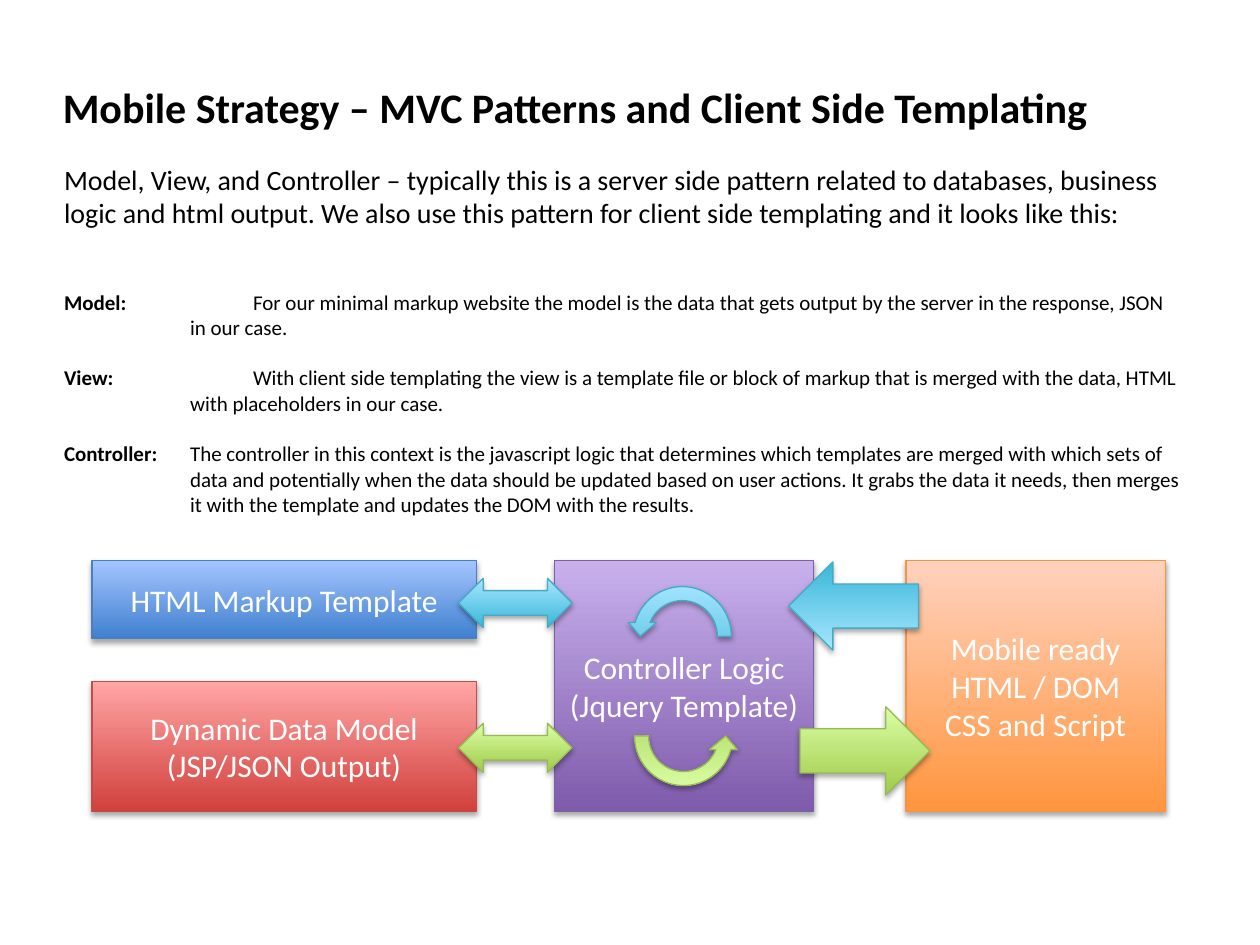
from dataclasses import dataclass

from lxml.etree import SubElement
from pptx import Presentation
from pptx.dml.color import RGBColor
from pptx.enum.shapes import MSO_SHAPE
from pptx.enum.text import MSO_ANCHOR, PP_ALIGN
from pptx.oxml.ns import qn
from pptx.util import Inches, Pt


@dataclass(frozen=True)
class Palette:
    bottom: str
    top: str
    line: str


@dataclass(frozen=True)
class Block:
    kind: MSO_SHAPE
    left: float
    top: float
    width: float
    height: float
    palette: Palette
    lines: tuple[str, ...] = ()
    rotation: int = 0
    flip: bool = False


BLUE = Palette("3F80CE", "A4C4FF", "4B7EBC")
RED = Palette("D1403C", "FFA6A5", "BF4C48")
PURPLE = Palette("7F5BAB", "C8B0ED", "7D60A0")
ORANGE = Palette("FF953E", "FFD2BD", "F69240")
AQUA = Palette("39B7D8", "A7E6FF", "46AAC5")
GREEN = Palette("A0CA4A", "DAFFA5", "98B955")

RECT = MSO_SHAPE.RECTANGLE
ARROW = MSO_SHAPE.RIGHT_ARROW
DOUBLE = MSO_SHAPE.LEFT_RIGHT_ARROW
CIRCULAR = MSO_SHAPE.CIRCULAR_ARROW

BLOCKS = [
    Block(RECT, 7.19, 4.45, 2.06, 1.99, ORANGE,
          ("Mobile ready", "HTML / DOM", "CSS and Script")),
    Block(RECT, 0.73, 4.45, 3.05, 0.62, BLUE, ("HTML Markup Template",)),
    Block(RECT, 0.73, 5.41, 3.05, 1.03, RED,
          ("Dynamic Data Model", "(JSP/JSON Output)")),
    Block(RECT, 4.4, 4.45, 2.06, 1.99, PURPLE,
          ("Controller Logic", "(Jquery Template)")),
    Block(ARROW, 6.26, 4.46, 1.03, 0.7, AQUA, rotation=180),
    Block(ARROW, 6.35, 5.61, 1.03, 0.7, GREEN),
    Block(DOUBLE, 3.64, 5.74, 0.9, 0.39, GREEN),
    Block(DOUBLE, 3.64, 4.59, 0.9, 0.39, AQUA),
    Block(CIRCULAR, 4.97, 4.6, 0.89, 0.9, AQUA, flip=True),
    Block(CIRCULAR, 4.98, 5.39, 0.89, 0.9, GREEN, rotation=180, flip=True),
]

INTRO = ("Model, View, and Controller – typically this is a server side pattern "
         "related to databases, business logic and html output. We also use this "
         "pattern for client side templating and it looks like this:")

TERMS = [
    ("Model:", "\t\tFor our minimal markup website the model is the data that gets "
     "output by the server in the response, JSON in our case."),
    ("View:", "\t\tWith client side templating the view is a template file or block "
     "of markup that is merged with the data, HTML with placeholders in our case."),
    ("Controller:", "\tThe controller in this context is the javascript logic that "
     "determines which templates are merged with which sets of data and potentially "
     "when the data should be updated based on user actions. It grabs the data it "
     "needs, then merges it with the template and updates the DOM with the results."),
]


def rgb(color: str) -> RGBColor:
    return RGBColor.from_string(color)


def add_run(p, text: str, *, size: float, color: str = "000000", bold: bool = False):
    r = p.add_run()
    r.text = text
    r.font.name = "Calibri"
    r.font.size = Pt(size)
    r.font.bold = bold
    r.font.color.rgb = rgb(color)
    return r


def add_text_box(s, left: float, top: float, width: float, height: float):
    box = s.shapes.add_textbox(Inches(left), Inches(top), Inches(width), Inches(height))
    box.text_frame.word_wrap = True
    return box.text_frame


def add_shadow(sp) -> None:
    sp.shadow.inherit = False
    effects = sp.element.spPr.find(qn("a:effectLst"))
    shadow = SubElement(effects, qn("a:outerShdw"), blurRad="40000", dist="23000",
                        dir="5400000", rotWithShape="0")
    color = SubElement(shadow, qn("a:srgbClr"), val="000000")
    SubElement(color, qn("a:alpha"), val="35000")


def add_block(s, block: Block) -> None:
    sp = s.shapes.add_shape(block.kind, Inches(block.left), Inches(block.top),
                            Inches(block.width), Inches(block.height))
    sp.rotation = block.rotation
    if block.flip:
        sp.element.spPr.find(qn("a:xfrm")).set("flipH", "1")
    sp.fill.gradient()
    sp.fill.gradient_angle = 90
    for stop, color in zip(sp.fill.gradient_stops,
                           (block.palette.bottom, block.palette.top)):
        stop.color.rgb = rgb(color)
    sp.line.color.rgb = rgb(block.palette.line)
    sp.line.width = Pt(0.75)
    add_shadow(sp)
    tf = sp.text_frame
    tf.vertical_anchor = MSO_ANCHOR.MIDDLE
    for i, line in enumerate(block.lines):
        p = tf.add_paragraph() if i else tf.paragraphs[0]
        p.alignment = PP_ALIGN.CENTER
        add_run(p, line, size=18, color="FFFFFF")


prs = Presentation()
prs.slide_width, prs.slide_height = Inches(10), Inches(7.5)
s = prs.slides.add_slide(prs.slide_layouts[6])

title = add_text_box(s, 0.4, 0.6, 9.03, 0.5)
add_run(title.paragraphs[0], "Mobile Strategy – MVC Patterns and Client Side Templating",
        size=24, bold=True)

body = add_text_box(s, 0.41, 1.24, 9.08, 2.93)
add_run(body.paragraphs[0], INTRO, size=16)
for i, (term, meaning) in enumerate(TERMS):
    p = body.add_paragraph()
    p.space_before = Pt(14.6 if i else 34)
    pPr = p._p.get_or_add_pPr()
    pPr.set("marL", str(Inches(1)))
    pPr.set("indent", str(Inches(-1)))
    add_run(p, term, size=12, bold=True)
    add_run(p, meaning, size=12)

for block in BLOCKS:
    add_block(s, block)

prs.save("out.pptx")
